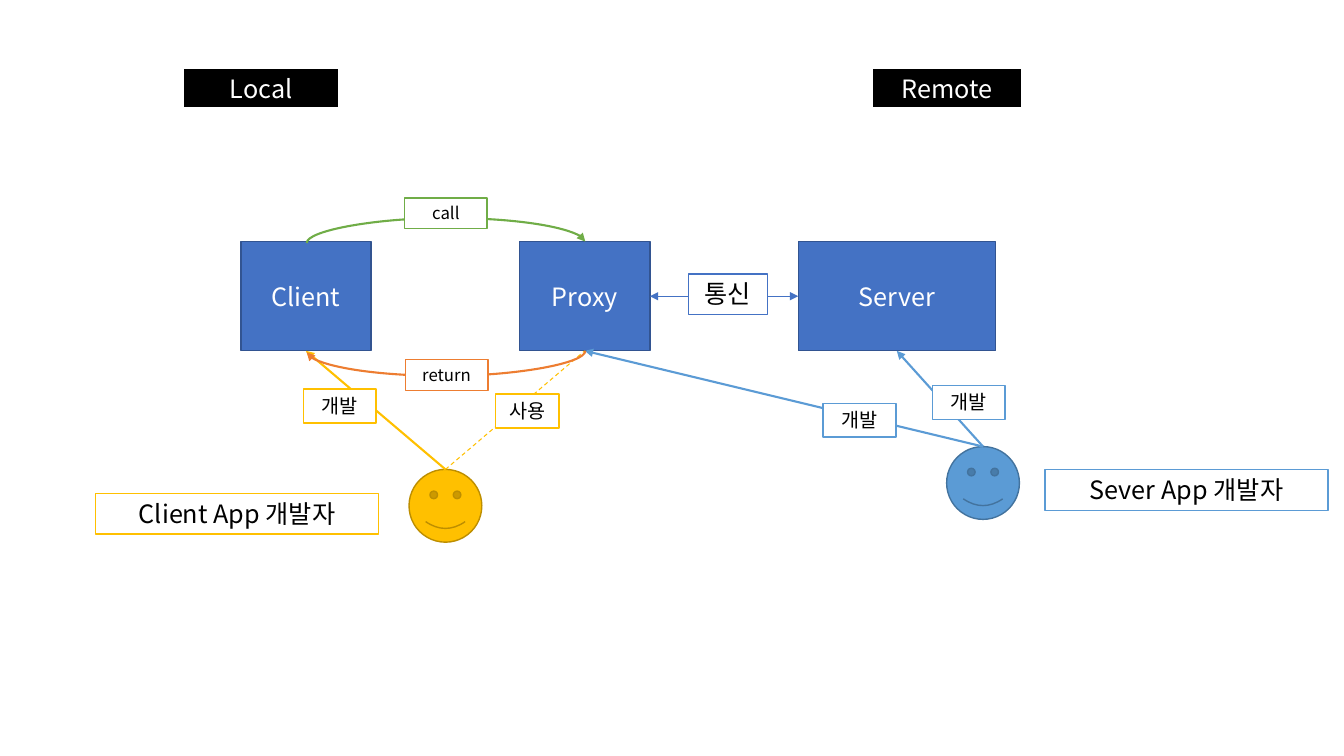
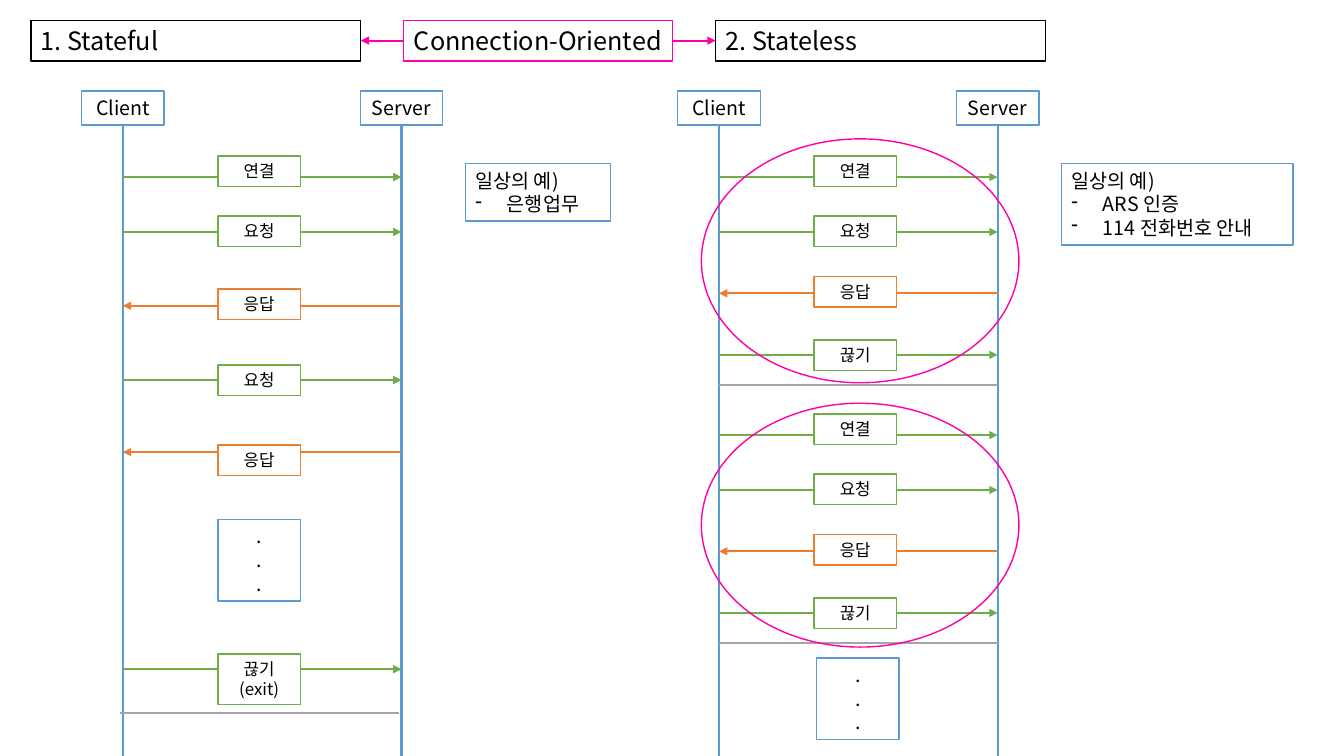
"""Build two slides on remote calls through a proxy and on stateful and stateless connections."""
import pptx
import pptx.dml.color
import pptx.enum.dml
import pptx.enum.shapes
import pptx.enum.text
import pptx.oxml.ns
import pptx.oxml.xmlchemy
import pptx.util
from lxml import etree

Pt = pptx.util.Pt
qn = pptx.oxml.ns.qn
SHAPE = pptx.enum.shapes.MSO_SHAPE
CONNECTOR = pptx.enum.shapes.MSO_CONNECTOR
ALIGN = pptx.enum.text.PP_ALIGN
ANCHOR = pptx.enum.text.MSO_ANCHOR

FONT = "Noto Sans CJK KR"
WHITE, BLACK, GRAY = "FFFFFF", "000000", "A5A5A5"
NAVY, BLUE, SKY = "325491", "4472C4", "5B9BD5"
GOLD, GREEN, ORANGE, PINK = "FFC000", "70AD47", "ED7D31", "FF00A8"
TOP, LEFT, BOTTOM, RIGHT = range(4)

LANE_WIDTH = 199
TAG_WIDTH = 59
TAG_OFFSET = 67.8
ROUND_PITCH = 184.3


def color(hex_code):
    """Turn a hex string into a colour."""
    return pptx.dml.color.RGBColor.from_string(hex_code)


def write(frame, text, size=18, ink=BLACK, align=ALIGN.CENTER, anchor=ANCHOR.TOP, bullets=False):
    """Fill a text frame, one paragraph a line, with dashes after the first if asked."""
    frame.word_wrap = True
    frame.vertical_anchor = anchor
    for index, line in enumerate(text.split("\n")):
        paragraph = frame.add_paragraph() if index else frame.paragraphs[0]
        paragraph.alignment = align
        run = paragraph.add_run()
        run.text = line
        run.font.size = Pt(size)
        run.font.name = FONT
        run.font.color.rgb = color(ink)
        etree.SubElement(run.font._element, qn("a:ea")).set("typeface", FONT)
        if bullets and index:
            properties = paragraph._p.get_or_add_pPr()
            properties.set("marL", str(Pt(22.5)))
            properties.set("indent", str(-Pt(22.5)))
            etree.SubElement(properties, qn("a:buChar")).set("char", "-")


class Deck:
    """Hold the presentation, its style and the current slide."""

    def __init__(self):
        """Start a wide presentation."""
        self.presentation = pptx.Presentation()
        self.presentation.slide_width = Pt(960)
        self.presentation.slide_height = Pt(540)
        self.slide = None

    def new_slide(self):
        """Add a blank slide and make it current."""
        self.slide = self.presentation.slides.add_slide(self.presentation.slide_layouts[6])

    def figure(self, kind, left, top, width, height, line, fill=None, weight=1):
        """Draw a preset shape."""
        shape = self.slide.shapes.add_shape(kind, Pt(left), Pt(top), Pt(width), Pt(height))
        shape.shadow.inherit = False
        if fill:
            shape.fill.solid()
            shape.fill.fore_color.rgb = color(fill)
        else:
            shape.fill.background()
        shape.line.color.rgb = color(line)
        shape.line.width = Pt(weight)
        return shape

    def box(self, text, left, top, width, height, line, fill=WHITE, weight=1, **style):
        """Draw a rectangle with text."""
        shape = self.figure(SHAPE.RECTANGLE, left, top, width, height, line, fill, weight)
        write(shape.text_frame, text, **style)
        return shape

    def finish_line(self, connector, line, weight, head, tail):
        """Set the stroke, the arrowheads and the empty effect list of a connector."""
        connector.line.color.rgb = color(line)
        connector.line.width = Pt(weight)
        properties = connector._element.spPr
        stroke = properties.find(qn("a:ln"))
        for end, wanted in (("a:headEnd", head), ("a:tailEnd", tail)):
            if wanted:
                etree.SubElement(stroke, qn(end)).set("type", "triangle")
        etree.SubElement(properties, qn("a:effectLst"))

    def line(self, start, end, line, weight=1.5, head=False, tail=True, dashed=False):
        """Draw a straight line between points or (shape, side) joints."""
        points = [(0, 0) if hasattr(place[0], "shape_id") else place for place in (start, end)]
        connector = self.slide.shapes.add_connector(
            CONNECTOR.STRAIGHT, *(Pt(value) for point in points for value in point))
        for place, join in ((start, connector.begin_connect), (end, connector.end_connect)):
            if hasattr(place[0], "shape_id"):
                join(*place)
        if dashed:
            connector.line.dash_style = pptx.enum.dml.MSO_LINE.DASH
        self.finish_line(connector, line, weight, head, tail)

    def arc(self, center, middle, span, line, upward):
        """Draw a flat curved arrow that bows up to the right or down to the left."""
        left, top = center - 0.5, middle - span / 2
        ends = [(left, top), (left + 1, top + span)]
        if upward:
            ends.reverse()
        connector = self.slide.shapes.add_connector(
            CONNECTOR.CURVE, *(Pt(value) for point in ends for value in point))
        connector._element.spPr.find(qn("a:xfrm")).set("rot", "5400000")
        guides = connector._element.spPr.find(qn("a:prstGeom")).get_or_add_avLst()
        guide = etree.SubElement(guides, qn("a:gd"))
        guide.set("name", "adj1")
        guide.set("fmla", "val 1800000")
        self.finish_line(connector, line, 1.5, False, True)

    def lane(self, left, title, title_left):
        """Draw a sequence heading with its client and server lifelines."""
        heading = self.box(title, title_left, 14.5, 235.5, 29, BLACK, align=ALIGN.LEFT)
        for role, x in (("Client", left), ("Server", left + LANE_WIDTH)):
            party = self.box(role, x - TAG_WIDTH / 2, 65, TAG_WIDTH, 24.3, SKY, size=14)
            self.line((party, BOTTOM), (x, 540), SKY, tail=False)
        return heading

    def message(self, left, text, y, tag_top, tag_height=21.8):
        """Draw one message, with replies running back to the client."""
        ends = [(left, y), (left + LANE_WIDTH, y)]
        reply = text == "응답"
        ink = ORANGE if reply else GREEN
        self.line(*(reversed(ends) if reply else ends), ink)
        self.box(text, left + TAG_OFFSET, tag_top, TAG_WIDTH, tag_height, ink, size=12)

    def divider(self, left, y):
        """Draw the gray line that closes a session."""
        self.line((left, y), (left + LANE_WIDTH, y), GRAY, tail=False)

    def dots(self, left, top):
        """Draw the box that stands for more messages."""
        self.box(".\n.\n.", left, top, TAG_WIDTH, 58.2, SKY, size=14)

    def example(self, text, left, width, height):
        """Draw a note with everyday examples."""
        self.box(text, left, 116.8, width, height, SKY, size=14, align=ALIGN.LEFT, bullets=True)


def proxy_slide(deck):
    """Draw the client, the proxy and the server with their developers."""
    deck.new_slide()
    client, proxy, server = (
        deck.box(text, left, 172.6, width, 78, NAVY, BLUE, ink=WHITE, anchor=ANCHOR.MIDDLE)
        for text, left, width in (("Client", 172, 93), ("Proxy", 371.2, 93), ("Server", 570.2, 140.8)))
    client_developer = deck.figure(SHAPE.SMILEY_FACE, 292.2, 335.3, 52, 52, "BD8E00", GOLD)
    server_developer = deck.figure(SHAPE.SMILEY_FACE, 676.2, 319, 52, 52, "43739E", SKY)
    deck.box("Client App 개발자", 68.2, 352.5, 202.3, 29, GOLD)
    deck.box("Sever App 개발자", 746.4, 335.5, 202.3, 29, SKY)
    deck.line((client_developer, TOP), (client, BOTTOM), GOLD)
    for target in (server, proxy):
        deck.line((server_developer, TOP), (target, BOTTOM), SKY)
    deck.line((client_developer, TOP), (proxy, BOTTOM), GOLD, 0.75, tail=False, dashed=True)
    for text, left, top, width, ink in (
            ("개발", 216.7, 278, 52, GOLD), ("개발", 666, 275.3, 52, SKY),
            ("개발", 588, 288, 52, SKY), ("사용", 354, 281.5, 45.4, GOLD)):
        deck.box(text, left, top, width, 24.3, ink, size=14)
    for text, middle, left, top, ink in (
            ("call", 173.1, 289, 141.3, GREEN), ("return", 251.1, 289.5, 257, ORANGE)):
        deck.arc(318.6, middle, LANE_WIDTH, ink, text == "call")
        deck.box(text, left, top, TAG_WIDTH, 21.8, ink, size=12)
    deck.line((proxy, RIGHT), (server, LEFT), BLUE, 0.5, head=True)
    deck.box("통신", 491.6, 195.6, 56.5, 29, BLUE)
    for place, left, width in (("Local", 130.5, 112), ("Remote", 622.8, 107)):
        deck.box(place, left, 48.5, width, 29, WHITE, BLACK, 1.5, ink=WHITE)


def connection_slide(deck):
    """Compare a stateful with a stateless sequence."""
    deck.new_slide()
    stateful, stateless = 87.8, 513.6
    stateful_title = deck.lane(stateful, "1. Stateful", 22.2)
    for text, y, tag_top in (
            ("연결", 126.5, 111.5), ("요청", 165.7, 154.3), ("응답", 218.4, 206.5),
            ("요청", 271.5, 260.6), ("응답", 323, 318)):
        deck.message(stateful, text, y, tag_top)
    deck.message(stateful, "끊기\n(exit)", 478, 467, 36.3)
    deck.dots(stateful + TAG_OFFSET, 371)
    deck.divider(stateful - 2, 509)
    deck.example("일상의 예)\n은행업무", 332.5, 103.6, 41.2)

    stateless_title = deck.lane(stateless, "2. Stateless", 511.2)
    for shift in (0, ROUND_PITCH):
        for text, y, tag_top in (
                ("연결", 126.5, 111.5), ("요청", 165.7, 154.3),
                ("응답", 209.5, 197.5), ("끊기", 253.5, 242.8)):
            deck.message(stateless, text, y + shift, tag_top + shift)
        deck.divider(stateless, 275 + shift)
    deck.dots(583.2, 470)
    deck.example("일상의 예)\nARS 인증\n114 전화번호 안내", 758.2, 165.4, 58.2)

    connection = deck.box("Connection-Oriented", 288, 14.5, 192.4, 29, PINK)
    deck.line((connection, LEFT), (stateful_title, RIGHT), PINK)
    deck.line((connection, RIGHT), (stateless_title, LEFT), PINK)
    for top in (99.2, 288):
        deck.figure(SHAPE.OVAL, 501, top, 226.8, 174.2, PINK)


def main():
    """Build and save the slides."""
    deck = Deck()
    proxy_slide(deck)
    connection_slide(deck)
    deck.presentation.save("out.pptx")


if __name__ == "__main__":
    main()
